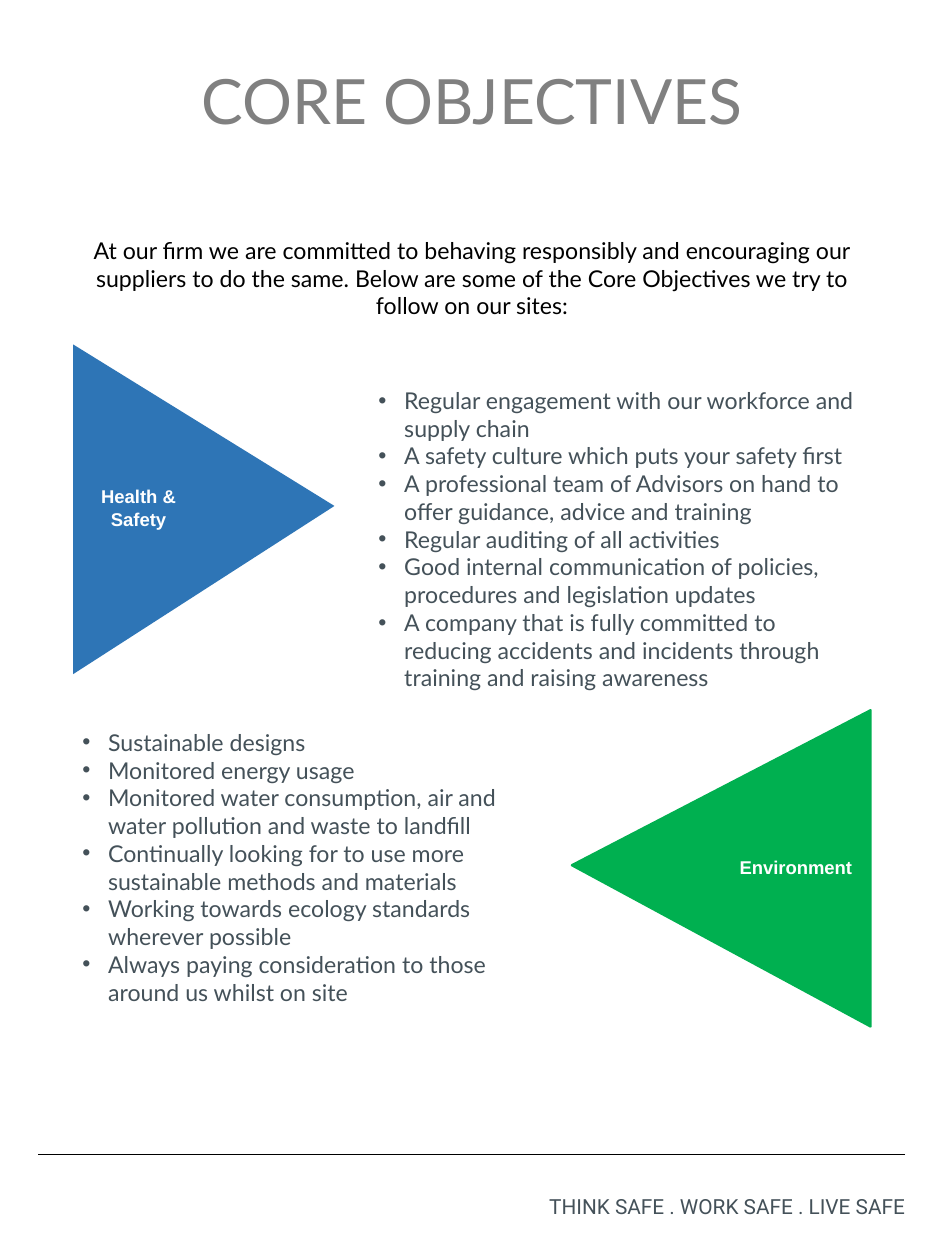
from dataclasses import dataclass

from lxml.etree import SubElement
from pptx import Presentation
from pptx.dml.color import RGBColor
from pptx.enum.shapes import MSO_CONNECTOR, MSO_SHAPE
from pptx.enum.text import MSO_ANCHOR, MSO_AUTO_SIZE, PP_ALIGN
from pptx.oxml.ns import qn
from pptx.shapes.autoshape import Shape
from pptx.slide import Slide
from pptx.util import Inches, Length, Pt

SLIDE_WIDTH, SLIDE_HEIGHT = 11.36, 15.14
SLATE, BLACK, WHITE = "445159", "000000", "FFFFFF"
BULLET_INDENT = Inches(0.31)


@dataclass
class Box:
    """Place and size in percent of the slide's width and height."""
    left: float
    top: float
    width: float
    height: float


@dataclass
class TextStyle:
    font: str
    size: float
    color: str
    align: PP_ALIGN = PP_ALIGN.LEFT
    bold: bool = False
    line_spacing: float = 1.0


@dataclass
class Objective:
    label: str
    triangle_center: tuple[float, float]
    triangle_size: tuple[float, float]
    apex: float
    rotation: int
    text_direction: str
    color: str
    outline: float
    points_box: Box
    points: list[str]


TITLE_STYLE = TextStyle("Lato", 54, "808080", PP_ALIGN.CENTER, line_spacing=1.5)
INTRO_STYLE = TextStyle("Lato", 20, BLACK, PP_ALIGN.CENTER)
POINT_STYLE = TextStyle("Lato", 20, SLATE)
LABEL_STYLE = TextStyle("Arial", 16, WHITE, PP_ALIGN.CENTER, bold=True)
MOTTO_STYLE = TextStyle("Roboto", 18, SLATE, PP_ALIGN.RIGHT)

OBJECTIVES = [
    Objective(
        "Health & Safety", (21.57, 40.42), (34.86, 20.74), 0.49, 90, "vert270",
        "2E75B6", 0, Box(39.17, 30.32, 52.99, 25.1),
        [
            "Regular engagement with our workforce and supply chain",
            "A safety culture which puts your safety first",
            "A professional team of Advisors on hand to offer guidance, advice and training",
            "Regular auditing of all activities",
            "Good internal communication of policies, procedures and legislation updates",
            "A company that is fully committed to reducing accidents and incidents "
            "through training and raising awareness",
        ],
    ),
    Objective(
        "Environment", (76.32, 68.92), (33.45, 23.71), 0.51, 270, "vert",
        "00B050", 2, Box(7.83, 57.46, 48.68, 22.92),
        [
            "Sustainable designs",
            "Monitored energy usage",
            "Monitored water consumption, air and water pollution and waste to landfill",
            "Continually looking for to use more sustainable methods and materials",
            "Working towards ecology standards wherever possible",
            "Always paying consideration to those around us whilst on site",
        ],
    ),
]


def rgb(color: str) -> RGBColor:
    return RGBColor.from_string(color)


def across(percent: float) -> Length:
    return Inches(SLIDE_WIDTH * percent / 100)


def down(percent: float) -> Length:
    return Inches(SLIDE_HEIGHT * percent / 100)


def extent(box: Box) -> tuple[Length, Length, Length, Length]:
    return across(box.left), down(box.top), across(box.width), down(box.height)


def write(holder: Shape, text: str, style: TextStyle,
          anchor: MSO_ANCHOR = MSO_ANCHOR.TOP, bulleted: bool = False) -> None:
    frame = holder.text_frame
    frame.text = text
    frame.word_wrap = True
    frame.auto_size = MSO_AUTO_SIZE.NONE
    frame.vertical_anchor = anchor
    for paragraph in frame.paragraphs:
        if bulleted:
            add_bullet(paragraph._p.get_or_add_pPr())
        paragraph.alignment = style.align
        paragraph.line_spacing = style.line_spacing
        paragraph.space_before = Pt(0)
        for run in paragraph.runs:
            run.font.name = style.font
            run.font.size = Pt(style.size)
            run.font.bold = style.bold
            run.font.color.rgb = rgb(style.color)


def add_bullet(properties) -> None:
    properties.set("marL", str(BULLET_INDENT))
    properties.set("indent", str(-BULLET_INDENT))
    SubElement(properties, qn("a:buFont"), typeface="Arial")
    SubElement(properties, qn("a:buChar"), char="•")


def fill_placeholder(holder: Shape, box: Box, text: str, style: TextStyle,
                     bulleted: bool = False) -> None:
    holder.left, holder.top, holder.width, holder.height = extent(box)
    write(holder, text, style, bulleted=bulleted)


def add_text(slide: Slide, box: Box, text: str, style: TextStyle) -> None:
    write(slide.shapes.add_textbox(*extent(box)), text, style)


def add_triangle(slide: Slide, objective: Objective) -> None:
    (center_x, center_y), (width, height) = objective.triangle_center, objective.triangle_size
    box = Box(center_x - width / 2, center_y - height / 2, width, height)
    triangle = slide.shapes.add_shape(MSO_SHAPE.ISOSCELES_TRIANGLE, *extent(box))
    triangle.adjustments[0] = objective.apex
    triangle.rotation = objective.rotation
    triangle.shadow.inherit = False
    triangle.fill.solid()
    triangle.fill.fore_color.rgb = rgb(objective.color)
    if objective.outline:
        triangle.line.color.rgb = rgb(objective.color)
        triangle.line.width = Pt(objective.outline)
    else:
        triangle.line.fill.background()
    write(triangle, objective.label, LABEL_STYLE, MSO_ANCHOR.MIDDLE)
    triangle.text_frame._txBody.bodyPr.set("vert", objective.text_direction)


def add_rule(slide: Slide, left: float, right: float, top: float) -> None:
    rule = slide.shapes.add_connector(
        MSO_CONNECTOR.STRAIGHT, across(right), down(top), across(left), down(top))
    rule.line.color.rgb = rgb(BLACK)
    rule.line.width = Pt(0.5)
    SubElement(rule._element.spPr, qn("a:effectLst"))


def main() -> None:
    deck = Presentation()
    deck.slide_width, deck.slide_height = Inches(SLIDE_WIDTH), Inches(SLIDE_HEIGHT)
    slide = deck.slides.add_slide(deck.slide_layouts.get_by_name("Two Content"))
    title, *point_lists = slide.placeholders

    add_text(slide, Box(54.23, 94.45, 42.43, 2.64),
             "THINK SAFE . WORK SAFE . LIVE SAFE", MOTTO_STYLE)
    add_rule(slide, 4.05, 95.77, 91.61)
    fill_placeholder(title, Box(7.39, 1.59, 85.12, 8.45), "CORE OBJECTIVES", TITLE_STYLE)
    add_text(slide, Box(7.48, 18.43, 84.95, 7.33),
             "At our firm we are committed to behaving responsibly and encouraging our "
             "suppliers to do the same. Below are some of the Core Objectives we try to "
             "follow on our sites:", INTRO_STYLE)
    for objective, point_list in zip(OBJECTIVES, point_lists):
        add_triangle(slide, objective)
        fill_placeholder(point_list, objective.points_box, "\n".join(objective.points),
                         POINT_STYLE, bulleted=True)
    deck.save("out.pptx")


if __name__ == "__main__":
    main()
